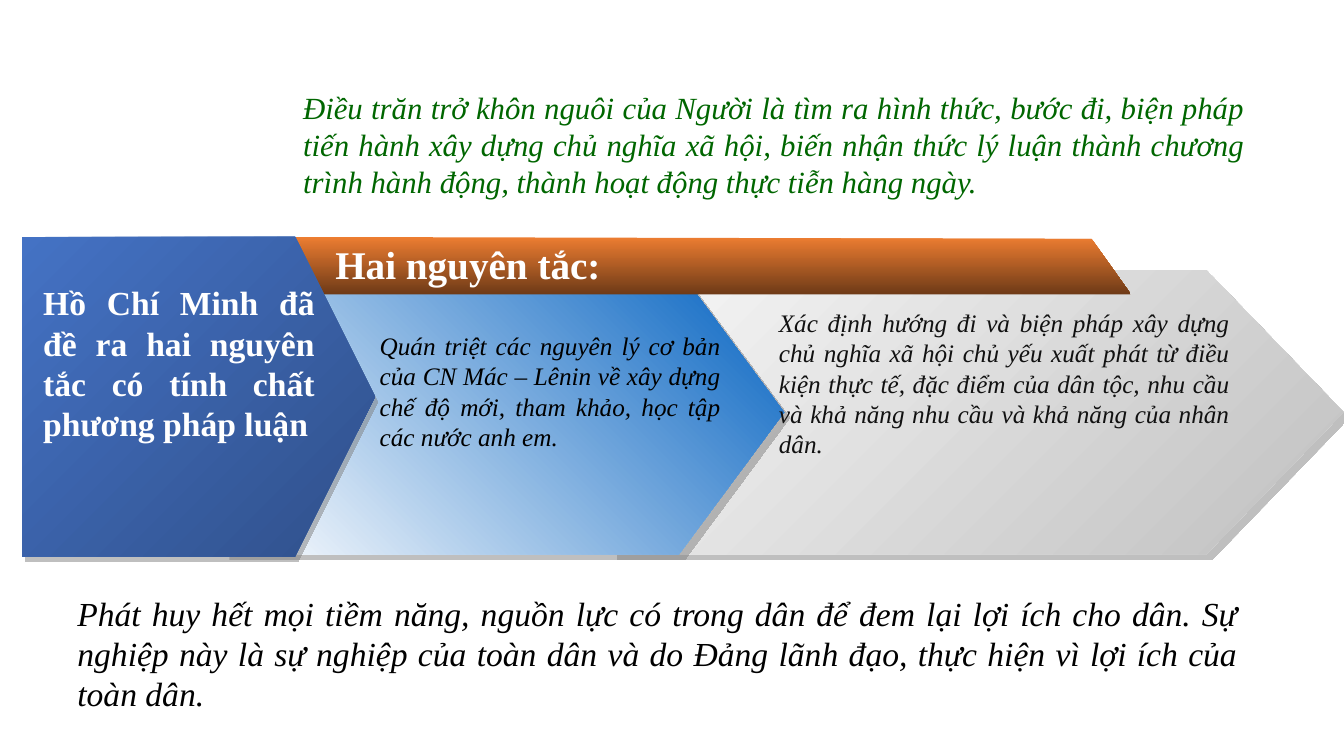
from lxml.etree import SubElement
from pptx import Presentation
from pptx.dml.color import RGBColor
from pptx.enum.shapes import MSO_SHAPE as Preset
from pptx.enum.text import MSO_AUTO_SIZE as AutoSize, PP_ALIGN as Align
from pptx.oxml.ns import qn
from pptx.util import Cm, Pt

SLIDE_SIZE = (33.87, 19.05)
FONT = "Times New Roman"

DIRECTION_ARROW = dict(box=(15.42, 6.81, 18.44, 7.16), point=0.483,
                       colours=("F7F7F7", "C0C0C0"), angle=45, shadow=(5.7, 45))
THEORY_ARROW = dict(box=(5.64, 6.81, 14.12, 7.16), point=0.37,
                    colours=("FFFFFF", "0563C1"), angle=315, shadow=(5.7, 45))
METHOD_ARROW = dict(box=(0.56, 5.97, 8.89, 8.05), point=0.25,
                    colours=("4472C4", "30508B"), angle=45, shadow=(4.5, 63))
BANNER = dict(corners=[(7.11, 5.97), (7.65, 7.42), (28.5, 7.42), (27.51, 6.02)],
              colours=("ED7D31", "6E3A17"), angle=90)

PASSAGES = [
    ("Hồ Chí Minh đã đề ra hai nguyên tắc có tính chất phương pháp luận",
     (0.84, 6.99, 7.34, 4.37), Align.JUSTIFY, "FFFFFF", dict(size=Pt(24), bold=True)),
    ("Hai nguyên tắc:",
     (8.2, 5.92, 12.95, 1.45), Align.LEFT, "FFFFFF", dict(size=Pt(28), bold=True)),
    ("Xác định hướng đi và biện pháp xây dựng chủ nghĩa xã hội chủ yếu xuất phát từ "
     "điều kiện thực tế, đặc điểm của dân tộc, nhu cầu và khả năng nhu cầu và khả năng "
     "của nhân dân.",
     (19.38, 7.62, 11.86, 4.88), Align.JUSTIFY, "111111", dict(size=Pt(18), italic=True)),
    ("Quán triệt các nguyên lý cơ bản của CN Mác – Lênin về xây dựng chế độ mới, "
     "tham khảo, học tập các nước anh em.",
     (9.32, 8.2, 9.09, 3.33), Align.JUSTIFY, "000000", dict(size=Pt(18), italic=True)),
    ("Điều trăn trở khôn nguôi của Người là tìm ra hình thức, bước đi, biện pháp tiến "
     "hành xây dựng chủ nghĩa xã hội, biến nhận thức lý luận thành chương trình hành "
     "động, thành hoạt động thực tiễn hàng ngày.",
     (7.39, 2.11, 24.21, 3.07), Align.JUSTIFY, "006600", dict(size=Pt(22), italic=True)),
    ("Phát huy hết mọi tiềm năng, nguồn lực có trong dân để đem lại lợi ích cho dân. "
     "Sự nghiệp này là sự nghiệp của toàn dân và do Đảng lãnh đạo, thực hiện vì lợi ích "
     "của toàn dân.",
     (1.7, 14.81, 29.74, 3.33), Align.JUSTIFY, "000000", dict(size=Pt(24), italic=True)),
]


def paint(colour, value):
    colour.rgb = RGBColor.from_string(value)


def shade(shape, colours, angle):
    shape.shadow.inherit = False
    shape.line.fill.background()
    shape.fill.gradient()
    shape.fill.gradient_angle = (360 - angle) % 360
    for position, (stop, value) in enumerate(zip(shape.fill.gradient_stops, colours)):
        stop.position = position
        paint(stop.color, value)


def cast_shadow(shape, distance, direction):
    effects = shape._element.spPr.find(qn("a:effectLst"))
    outer = SubElement(effects, qn("a:outerShdw"), dist=str(Pt(distance)),
                       dir=str(direction * 60000), algn="ctr", rotWithShape="0")
    grey = SubElement(outer, qn("a:srgbClr"), val="808080")
    SubElement(grey, qn("a:alpha"), val="50000")


def add_arrow(shapes, box, point, colours, angle, shadow):
    arrow = shapes.add_shape(Preset.PENTAGON, *map(Cm, box))
    arrow.adjustments[0] = point
    shade(arrow, colours, angle)
    cast_shadow(arrow, *shadow)


def add_banner(shapes, corners, colours, angle):
    start, *others = [(Cm(x), Cm(y)) for x, y in corners]
    outline = shapes.build_freeform(*start)
    outline.add_line_segments(others, close=True)
    shade(outline.convert_to_shape(), colours, angle)


def add_passage(shapes, wording, box, alignment, colour, style):
    frame = shapes.add_textbox(*map(Cm, box)).text_frame
    frame.word_wrap = True
    frame.auto_size = AutoSize.SHAPE_TO_FIT_TEXT
    paragraph = frame.paragraphs[0]
    paragraph.alignment = alignment
    run = paragraph.add_run()
    run.text = wording
    for name, value in dict(style, name=FONT).items():
        setattr(run.font, name, value)
    paint(run.font.color, colour)


def main():
    deck = Presentation()
    deck.slide_width, deck.slide_height = map(Cm, SLIDE_SIZE)
    shapes = deck.slides.add_slide(deck.slide_layouts[6]).shapes
    add_arrow(shapes, **DIRECTION_ARROW)
    add_arrow(shapes, **THEORY_ARROW)
    add_banner(shapes, **BANNER)
    add_arrow(shapes, **METHOD_ARROW)
    for passage in PASSAGES:
        add_passage(shapes, *passage)
    deck.save("out.pptx")


if __name__ == "__main__":
    main()
